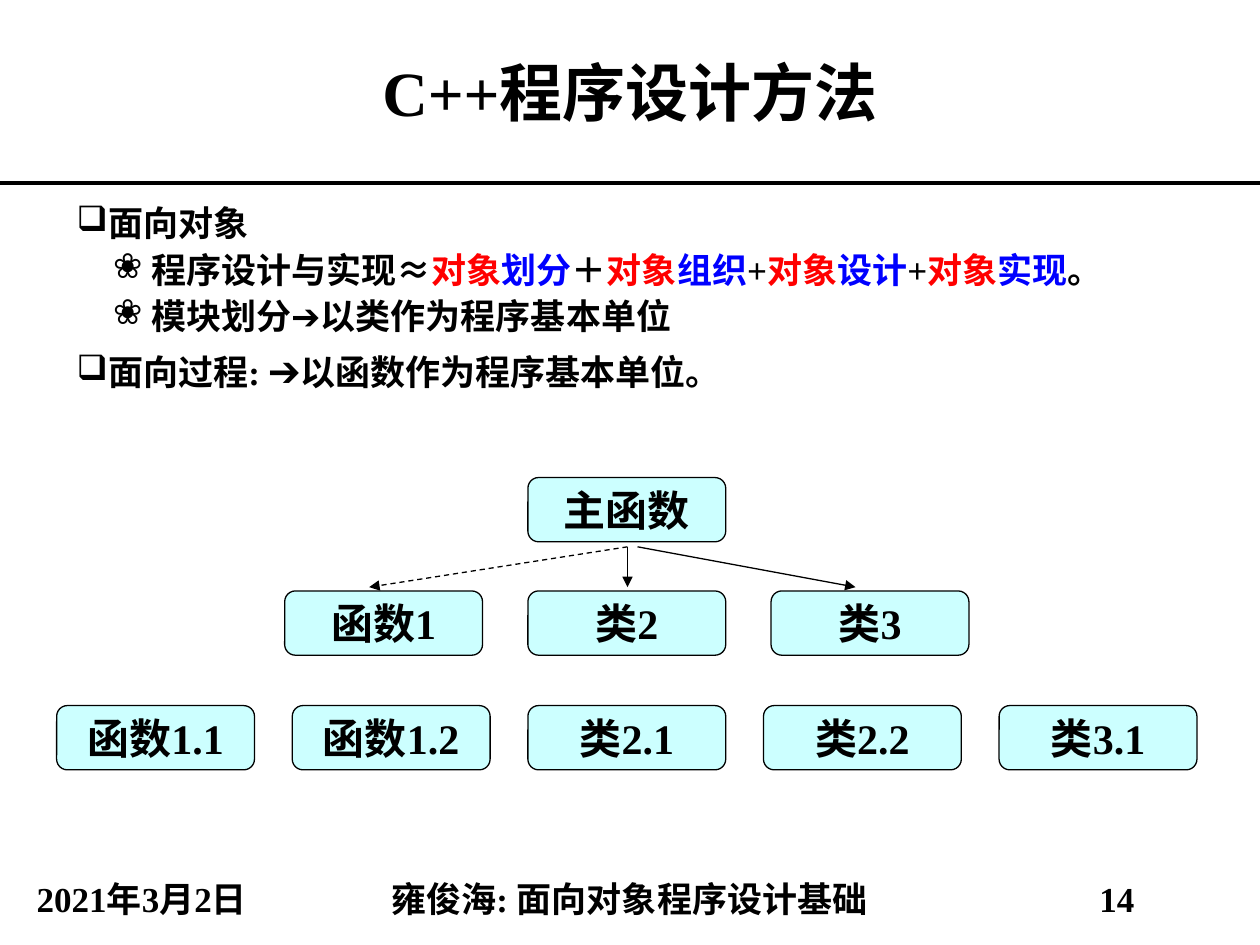
from lxml.etree import SubElement
from pptx import Presentation
from pptx.dml.color import RGBColor
from pptx.enum.dml import MSO_LINE
from pptx.enum.shapes import MSO_CONNECTOR, MSO_SHAPE
from pptx.enum.text import MSO_ANCHOR, PP_ALIGN
from pptx.oxml.ns import qn
from pptx.util import Inches, Pt

LATIN, CHINESE = "Times New Roman", "Noto Sans CJK SC"
BLACK, RED, BLUE, CYAN = "000000", "FF0000", "0000FF", "CCFFFF"

TITLE = "C++程序设计方法"
OBJECT = ("对象", RED)
BODY = [
    (0, [("面向对象", BLACK)]),
    (1, [("程序设计与实现", BLACK), ("≈", BLACK),
         OBJECT, ("划分", BLUE), ("＋", BLACK),
         OBJECT, ("组织", BLUE), ("+", BLACK),
         OBJECT, ("设计", BLUE), ("+", BLACK),
         OBJECT, ("实现", BLUE), ("。", BLACK)]),
    (1, [("模块划分➔以类作为程序基本单位", BLACK)]),
    (0, [("面向过程: ➔以函数作为程序基本单位。", BLACK)]),
]
LEVELS = [
    {"bullet": "❑", "margin": 0.25, "indent": -0.25, "before": 10},
    {"bullet": "❀", "margin": 0.59, "indent": -0.3, "before": 5},
]
FOOTER = [
    ("2021年3月2日", 0, 2.25),
    ("雍俊海: 面向对象程序设计基础", 2.25, 5.49),
    ("14", 7.74, 2.25),
]
TREE = [
    (3.79, 0, ["主函数"]),
    (4.69, 1.93, ["函数1", "类2", "类3"]),
    (5.6, 1.87, ["函数1.1", "函数1.2", "类2.1", "类2.2", "类3.1"]),
]
BOX_LEFT, BOX_WIDTH, BOX_HEIGHT = 4.19, 1.57, 0.51
ARROW_TOP, ARROW_BOTTOM = 4.34, 4.66
ARROWS = [(4.98, 4.98, False), (5.06, 6.79, False), (4.98, 2.93, True)]


def color(value):
    """Turn a hex string into a colour."""
    return RGBColor.from_string(value)


def style(paragraph, size, alignment=PP_ALIGN.CENTER):
    """Apply the bold slide font to a paragraph."""
    paragraph.alignment = alignment
    font = paragraph.font
    font.size, font.bold, font.name = Pt(size), True, LATIN
    font.color.rgb = color(BLACK)
    properties = paragraph._p.pPr.find(qn("a:defRPr"))
    SubElement(properties, qn("a:ea")).set("typeface", CHINESE)


def add_text_box(slide, left, top, width, height, anchor=MSO_ANCHOR.MIDDLE):
    """Add a wrapping text box and return its text frame."""
    box = slide.shapes.add_textbox(Inches(left), Inches(top), Inches(width), Inches(height))
    frame = box.text_frame
    frame.word_wrap, frame.vertical_anchor = True, anchor
    return frame


def add_line(slide, start, end, width, dashed=False, arrow=False):
    """Add a black line, optionally dashed or with an arrowhead."""
    connector = slide.shapes.add_connector(
        MSO_CONNECTOR.STRAIGHT, *(Inches(value) for value in (*start, *end)))
    connector.line.color.rgb = color(BLACK)
    connector.line.width = Pt(width)
    if dashed:
        connector.line.dash_style = MSO_LINE.DASH
    if arrow:
        SubElement(connector.line._get_or_add_ln(), qn("a:tailEnd")).set("type", "triangle")
    SubElement(connector._element.spPr, qn("a:effectLst"))


def add_body(slide):
    """Add the bulleted list."""
    frame = add_text_box(slide, 0.51, 1.59, 8.99, 1.76, MSO_ANCHOR.TOP)
    for index, (level, runs) in enumerate(BODY):
        paragraph = frame.add_paragraph() if index else frame.paragraphs[0]
        look = LEVELS[level]
        paragraph.level = level
        properties = paragraph._p.get_or_add_pPr()
        properties.set("marL", str(Inches(look["margin"])))
        properties.set("indent", str(Inches(look["indent"])))
        SubElement(properties, qn("a:buChar")).set("char", look["bullet"])
        paragraph.line_spacing = 0.9
        paragraph.space_before = Pt(look["before"])
        style(paragraph, 20, PP_ALIGN.JUSTIFY)
        for text, shade in runs:
            run = paragraph.add_run()
            run.text = text
            run.font.color.rgb = color(shade)
            if text == "≈":
                run.font.name = CHINESE


def add_box(slide, text, left, top):
    """Add one rounded box of the tree."""
    shape = slide.shapes.add_shape(
        MSO_SHAPE.ROUNDED_RECTANGLE, Inches(left), Inches(top), Inches(BOX_WIDTH), Inches(BOX_HEIGHT))
    shape.shadow.inherit = False
    shape.fill.solid()
    shape.fill.fore_color.rgb = color(CYAN)
    shape.line.color.rgb = color(BLACK)
    shape.line.width = Pt(0.75)
    frame = shape.text_frame
    frame.word_wrap, frame.vertical_anchor = False, MSO_ANCHOR.MIDDLE
    frame.text = text
    style(frame.paragraphs[0], 24)


def main():
    """Build the slide and save it."""
    presentation = Presentation()
    presentation.slide_width, presentation.slide_height = Inches(10), Inches(7.5)
    slide = presentation.slides.add_slide(presentation.slide_layouts[6])

    title = add_text_box(slide, 0, 0, 10, 1.45)
    title.text = TITLE
    style(title.paragraphs[0], 36)
    add_line(slide, (0, 1.45), (10, 1.45), 2.25)
    add_body(slide)

    for text, left, width in FOOTER:
        frame = add_text_box(slide, left, 6.95, width, 0.4)
        frame.text = text
        frame.paragraphs[0].line_spacing = 0.9
        style(frame.paragraphs[0], 20)

    for top, pitch, names in TREE:
        for index, name in enumerate(names):
            add_box(slide, name, BOX_LEFT + (index - (len(names) - 1) / 2) * pitch, top)
    for start, end, dashed in ARROWS:
        add_line(slide, (start, ARROW_TOP), (end, ARROW_BOTTOM), 0.75, dashed, arrow=True)

    presentation.save("out.pptx")


if __name__ == "__main__":
    main()
